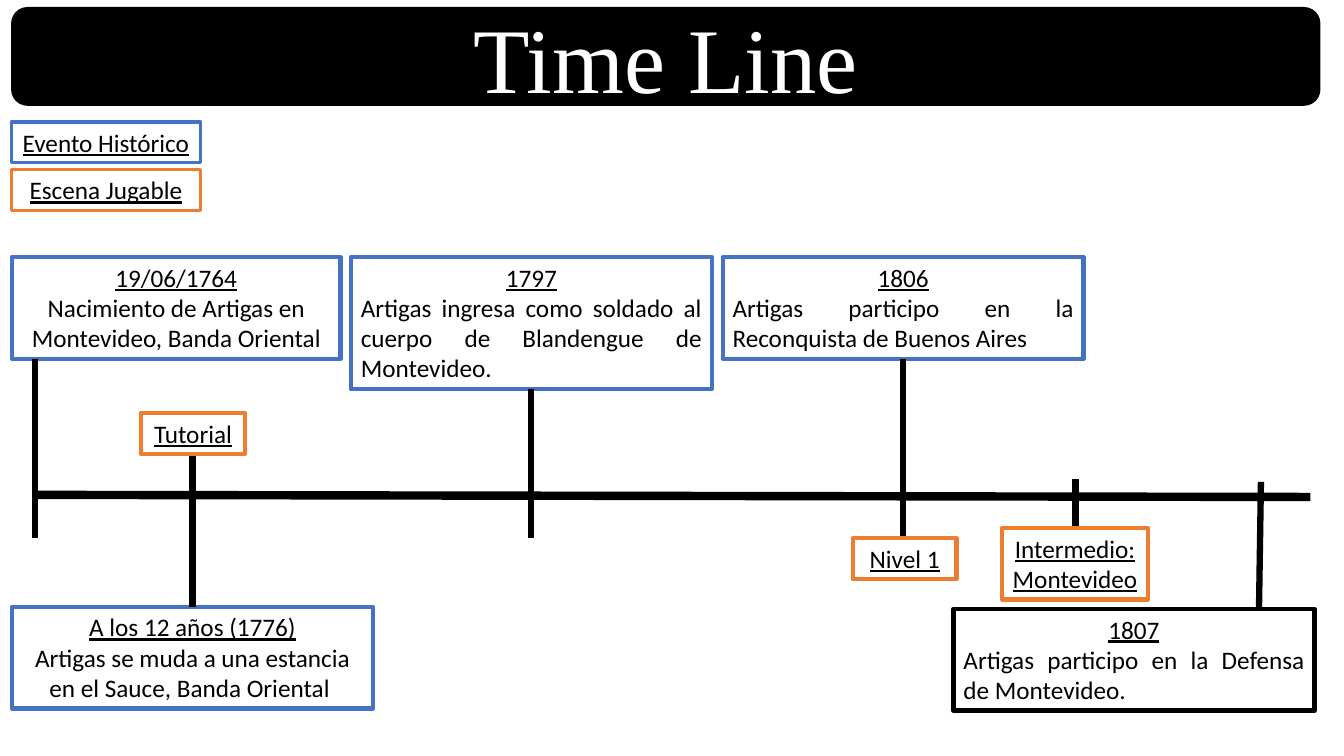
from pptx import Presentation
from pptx.dml.color import RGBColor
from pptx.enum import shapes, text
from pptx.oxml.ns import qn
from pptx.util import Pt
from lxml import etree

# Content: left, top, width, text lines, border kind, heading, body, body alignment
TITLE = "Time Line"
EVENTS = [
    (8.6, 183.6, 234.7, 3, "event", "19/06/1764",
     "Nacimiento de Artigas en Montevideo, Banda Oriental", "mid"),
    (8.6, 433.4, 257.8, 3, "event", "A los 12 años (1776)",
     "Artigas se muda a una estancia en el Sauce, Banda Oriental ", "mid"),
    (250.6, 183.6, 257.8, 4, "event", "1797",
     "Artigas ingresa como soldado al cuerpo de Blandengue de Montevideo. ", "full"),
    (516.2, 183.6, 257.8, 3, "event", "1806",
     "Artigas participo en la Reconquista de Buenos Aires", "full"),
    (681.1, 434.9, 257.8, 3, "ink", "1807",
     "Artigas participo en la Defensa de Montevideo.", "full"),
]
SCENES = [
    (609.1, 384.5, 74.2, 1, "scene", "Nivel 1"),
    (100.8, 295.2, 74.2, 1, "scene", "Tutorial"),
    (715.7, 377.3, 104.4, 2, "scene", "Intermedio: Montevideo"),
]
LEGEND = [("event", "Evento Histórico"), ("scene", "Escena Jugable")]
# Stems: x and y at the start, x and y at the end
STEMS = [
    (25.2, 256.3, 25.2, 384.5),
    (137.5, 433.4, 137.5, 323.3),
    (379.4, 278.1, 379.4, 384.5),
    (645.1, 256.3, 645.1, 384.5),
    (768.2, 342, 768.2, 377.3),
    (900.7, 344.2, 899.3, 434.9),
]
AXIS = (25.2, 353.5, 936, 355)

THEME = {
    "event": RGBColor(0x44, 0x72, 0xC4),
    "scene": RGBColor(0xED, 0x7D, 0x31),
    "ink": RGBColor(0, 0, 0),
    "paper": RGBColor(255, 255, 255),
    "font": "Calibri", "size": 18,
    "title font": "Times New Roman", "title size": 66,
    "edge": 3, "thin": 2.25, "stem": 4.5, "axis": 6,
}
ALIGN = {"mid": text.PP_ALIGN.CENTER, "full": text.PP_ALIGN.JUSTIFY}
LINE, PAD = 21.8, 7.3

deck = Presentation()
deck.slide_width, deck.slide_height = Pt(960), Pt(540)
slide = deck.slides.add_slide(deck.slide_layouts[6])


def style(para, words, name, size, color, line=False, align="mid"):
    para.text = words
    para.alignment = ALIGN[align]
    font = para.font
    font.name, font.size, font.underline = name, Pt(size), line
    font.color.rgb = color


def box(left, top, width, rows, kind, head, body=None, align="mid", edge=THEME["edge"]):
    """Bordered box whose height follows its number of text lines."""
    shape = slide.shapes.add_shape(shapes.MSO_SHAPE.RECTANGLE, Pt(left), Pt(top),
                                   Pt(width), Pt(PAD + LINE * rows))
    shape.shadow.inherit = False
    shape.fill.background()
    shape.line.color.rgb = THEME[kind]
    shape.line.width = Pt(edge)
    frame = shape.text_frame
    frame.word_wrap = True
    frame.vertical_anchor = text.MSO_ANCHOR.TOP
    frame.auto_size = text.MSO_AUTO_SIZE.SHAPE_TO_FIT_TEXT
    look = THEME["font"], THEME["size"], THEME["ink"]
    style(frame.paragraphs[0], head, *look, line=True)
    if body:
        style(frame.add_paragraph(), body, *look, align=align)


def rule(ends, width):
    line = slide.shapes.add_connector(shapes.MSO_CONNECTOR.STRAIGHT, *map(Pt, ends))
    line.line.color.rgb = THEME["ink"]
    line.line.width = Pt(width)
    etree.SubElement(line._element.spPr, qn("a:effectLst"))


# Title banner
banner = slide.shapes.add_shape(shapes.MSO_SHAPE.ROUNDED_RECTANGLE,
                                Pt(7.9), Pt(5), Pt(935.3), Pt(70.6))
banner.shadow.inherit = False
banner.fill.solid()
banner.fill.fore_color.rgb = THEME["ink"]
banner.line.fill.background()
banner.text_frame.vertical_anchor = text.MSO_ANCHOR.MIDDLE
style(banner.text_frame.paragraphs[0], TITLE, THEME["title font"],
      THEME["title size"], THEME["paper"])

# Legend
for i, (kind, label) in enumerate(LEGEND):
    box(7.9, 87.1 + 34.2 * i, 135.4, 1, kind, label, edge=THEME["thin"])

# Events, axis with its stems, then scenes
for event in EVENTS:
    box(*event)
for stem in STEMS:
    rule(stem, THEME["stem"])
rule(AXIS, THEME["axis"])
for scene in SCENES:
    box(*scene)

deck.save("out.pptx")
